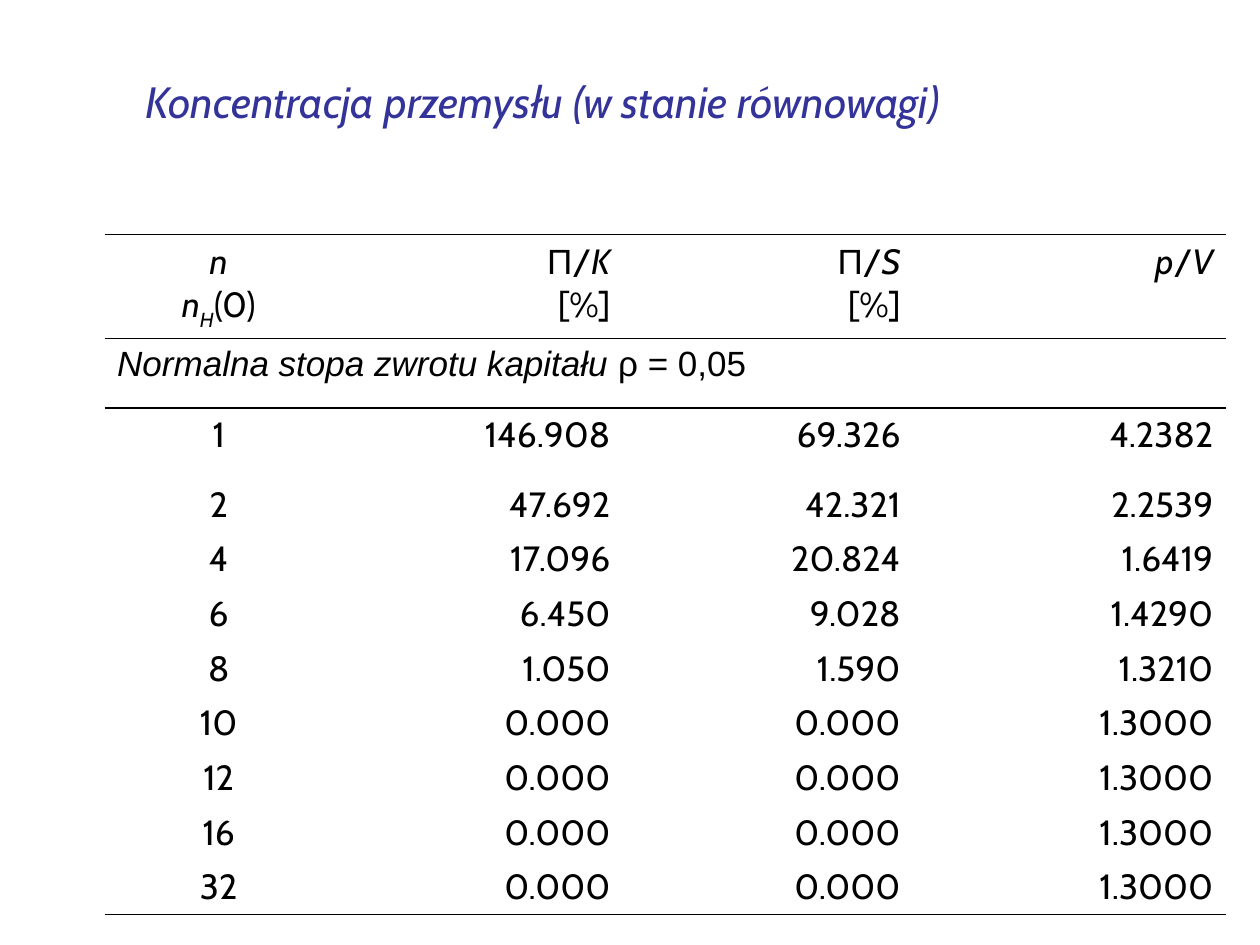
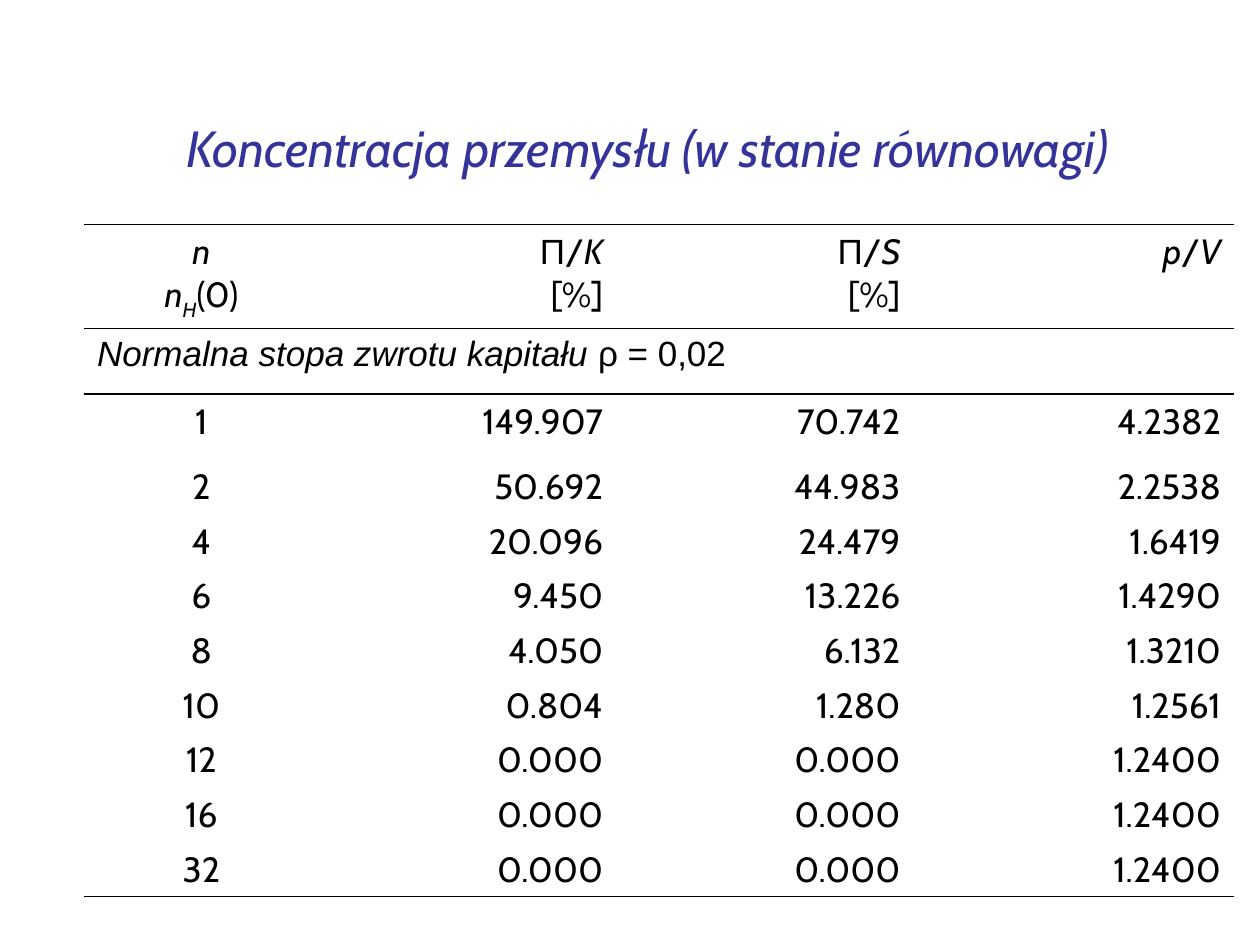
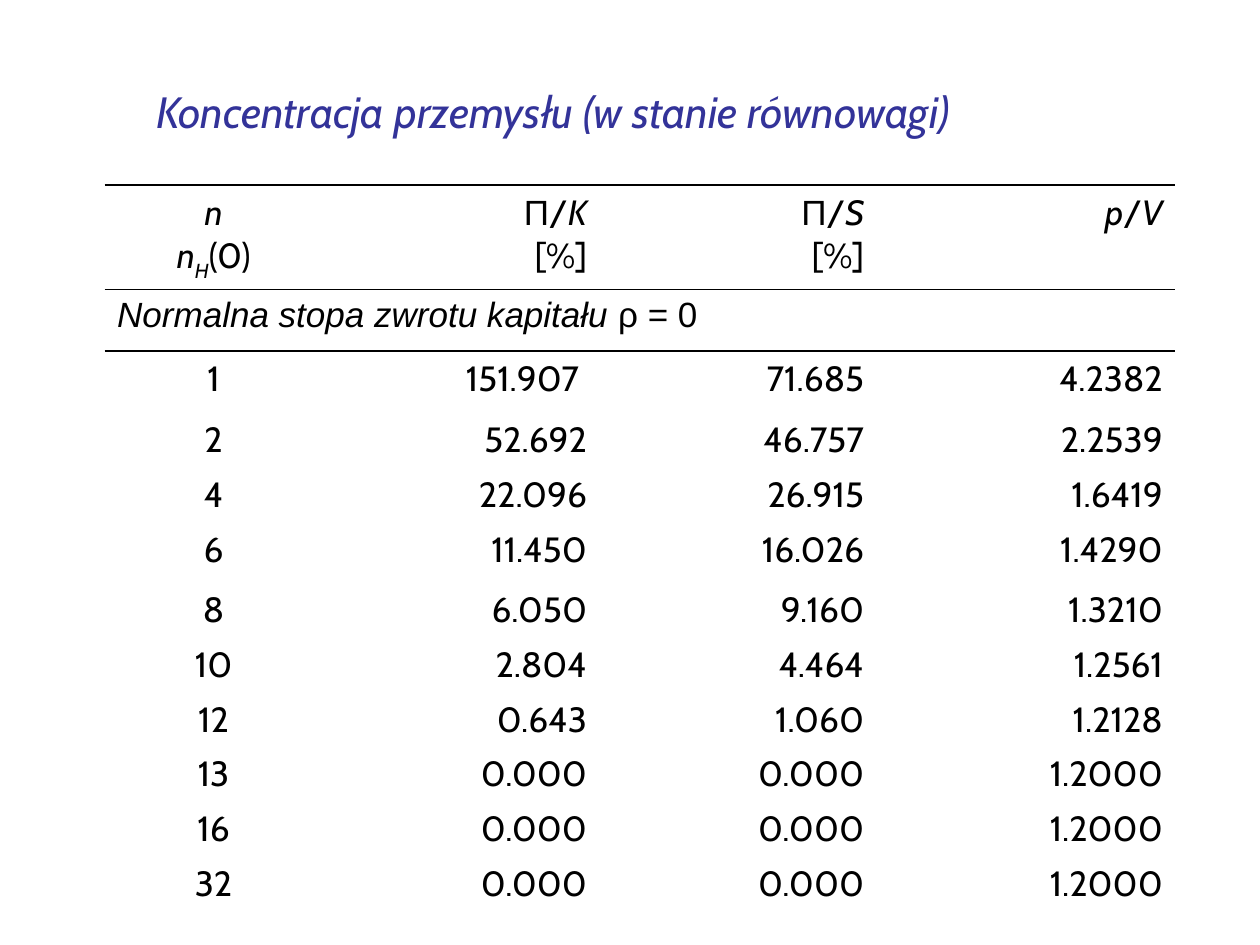
from dataclasses import dataclass

from lxml import etree
from pptx import Presentation
from pptx.dml.color import RGBColor
from pptx.enum.text import MSO_ANCHOR, PP_ALIGN
from pptx.oxml.ns import qn
from pptx.util import Inches, Pt

CENTER, RIGHT, JUSTIFY = PP_ALIGN.CENTER, PP_ALIGN.RIGHT, PP_ALIGN.JUSTIFY
BOTTOM, TOP = MSO_ANCHOR.BOTTOM, MSO_ANCHOR.TOP
NO_TABLE_STYLE = "{2D5ABB26-0587-4C30-8999-92F81FD0307C}"


@dataclass(frozen=True)
class Theme:
    title_color: str = "333399"
    ink: str = "000000"
    font: str = "Cabin"
    label_font: str = "Arial"
    table_size: int = 20
    rule_width: float = 1


# Grid: 100 columns by 75 rows over the whole slide
SLIDE_WIDTH, SLIDE_HEIGHT = Inches(10), Inches(7.5)
COLUMN, ROW = SLIDE_WIDTH // 100, SLIDE_HEIGHT // 75

# Table proportions, heights in grid rows
COLUMN_WEIGHTS = (1.81, 2.3, 2.3, 2.48)
HEADER_HEIGHT, VALUE_HEIGHT = 7.7, 4.3

# Shared wording: every run is (text, *styles)
TITLE = "Koncentracja przemysłu (w stanie równowagi)"
RATE_LABEL = "Normalna stopa zwrotu kapitału "
HEADERS = (
    [[("n", "italic")], [("n", "italic"), ("H", "italic", "sub"), ("(0)",)]],
    [[("Π", "label"), ("/",), ("K", "italic")], [("[%]",)]],
    [[("Π", "label"), ("/",), ("S", "italic")], [("[%]",)]],
    [[("p", "italic"), ("/",), ("V", "italic")]],
)


class Deck:
    def __init__(self, theme):
        self.theme = theme
        self.presentation = Presentation()
        self.presentation.slide_width = SLIDE_WIDTH
        self.presentation.slide_height = SLIDE_HEIGHT
        self.slide = None

    def new_slide(self):
        blank = self.presentation.slide_layouts[6]
        self.slide = self.presentation.slides.add_slide(blank)

    def box(self, left, top, width, height):
        return (round(left * COLUMN), round(top * ROW),
                round(width * COLUMN), round(height * ROW))

    def add_run(self, paragraph, text, *styles, size=None, color=None):
        theme = self.theme
        run = paragraph.add_run()
        run.text = text
        run.font.size = Pt(size or theme.table_size)
        run.font.name = theme.label_font if "label" in styles else theme.font
        run.font.italic = "italic" in styles
        run.font.color.rgb = RGBColor.from_string(color or theme.ink)
        if "sub" in styles:
            run.font._element.set("baseline", "-30000")

    def title(self, area, size):
        frame = self.slide.shapes.add_textbox(*self.box(*area)).text_frame
        frame.word_wrap = True
        frame.vertical_anchor = BOTTOM
        self.add_run(frame.paragraphs[0], TITLE, "italic",
                     size=size, color=self.theme.title_color)

    def fill_cell(self, cell, paragraphs, alignment):
        cell.vertical_anchor = TOP
        for index, runs in enumerate(paragraphs):
            frame = cell.text_frame
            paragraph = frame.add_paragraph() if index else frame.paragraphs[0]
            paragraph.alignment = alignment
            for text, *styles in runs:
                self.add_run(paragraph, text, *styles)

    def rule(self, cell, *edges):
        for edge in edges:
            line = etree.SubElement(cell._tc.get_or_add_tcPr(), qn(f"a:{edge}"),
                                    w=str(Pt(self.theme.rule_width)))
            fill = etree.SubElement(line, qn("a:solidFill"))
            etree.SubElement(fill, qn("a:srgbClr"), val=self.theme.ink)

    def results_table(self, left, top, width, rate, heights, values, closing_rule):
        heights = [HEADER_HEIGHT, *heights]
        heights += [VALUE_HEIGHT] * (len(values) + 2 - len(heights))
        frame = self.slide.shapes.add_table(
            len(heights), len(COLUMN_WEIGHTS),
            *self.box(left, top, width, sum(heights)))
        table = frame.table
        table.first_row = table.horz_banding = False
        table._tbl.tblPr.find(qn("a:tableStyleId")).text = NO_TABLE_STYLE
        for column, weight in zip(table.columns, COLUMN_WEIGHTS):
            column.width = round(width * COLUMN * weight / sum(COLUMN_WEIGHTS))
        for row, height in zip(table.rows, heights):
            row.height = round(height * ROW)

        # Rules above and below the header, and optionally under the last row
        last = len(heights) - 1
        for col in range(len(COLUMN_WEIGHTS)):
            self.rule(table.cell(0, col), "lnT", "lnB")
            self.rule(table.cell(1, col), "lnT")
            if closing_rule:
                self.rule(table.cell(last, col), "lnB")
        for cell in table.iter_cells():
            cell.fill.background()

        # Header, spanning rate line, then the results
        rate_cell = table.cell(1, 0)
        rate_cell.merge(table.cell(1, len(COLUMN_WEIGHTS) - 1))
        self.fill_cell(rate_cell, [[(RATE_LABEL, "label", "italic"),
                                    (f"ρ = {rate}", "label")]], JUSTIFY)
        body = [[[[(value,)]] for value in row] for row in values]
        for row, contents in zip([0, *range(2, last + 1)], [HEADERS, *body]):
            for col, paragraphs in enumerate(contents):
                self.fill_cell(table.cell(row, col), paragraphs,
                               RIGHT if col else CENTER)


# Results: n, Π/K, Π/S, p/V
RATE_5_RESULTS = (
    ("1", "146.908", "69.326", "4.2382"),
    ("2", "47.692", "42.321", "2.2539"),
    ("4", "17.096", "20.824", "1.6419"),
    ("6", "6.450", "9.028", "1.4290"),
    ("8", "1.050", "1.590", "1.3210"),
    *((n, "0.000", "0.000", "1.3000") for n in ("10", "12", "16", "32")),
)
RATE_2_RESULTS = (
    ("1", "149.907", "70.742", "4.2382"),
    ("2", "50.692", "44.983", "2.2538"),
    ("4", "20.096", "24.479", "1.6419"),
    ("6", "9.450", "13.226", "1.4290"),
    ("8", "4.050", "6.132", "1.3210"),
    ("10", "0.804", "1.280", "1.2561"),
    *((n, "0.000", "0.000", "1.2400") for n in ("12", "16", "32")),
)
RATE_0_RESULTS = (
    ("1", "151.907 ", "71.685", "4.2382"),
    ("2", "52.692", "46.757", "2.2539"),
    ("4", "22.096", "26.915", "1.6419"),
    ("6", "11.450", "16.026", "1.4290"),
    ("8", "6.050", "9.160", "1.3210"),
    ("10", "2.804", "4.464", "1.2561"),
    ("12", "0.643", "1.060", "1.2128"),
    *((n, "0.000", "0.000", "1.2000") for n in ("13", "16", "32")),
)


def main():
    deck = Deck(Theme())

    # Rate of return 0,05
    deck.new_slide()
    deck.title((10.6, 2.8, 85, 7.8), size=25)
    deck.results_table(8.3, 18.6, 89, "0,05", (5.5, 5.5), RATE_5_RESULTS, True)

    # Rate of return 0,02
    deck.new_slide()
    deck.title((13.8, 2.1, 82.9, 12.5), size=29)
    deck.results_table(6.7, 17.8, 91.2, "0,02", (5.2, 5.2), RATE_2_RESULTS, True)

    # Rate of return 0
    deck.new_slide()
    deck.title((11.4, 3.6, 85, 7.8), size=25)
    deck.results_table(8.3, 14.7, 85, "0", (4.9, 4.9, 4.3, 4.3, 4.8),
                       RATE_0_RESULTS, False)

    deck.presentation.save("out.pptx")


if __name__ == "__main__":
    main()
